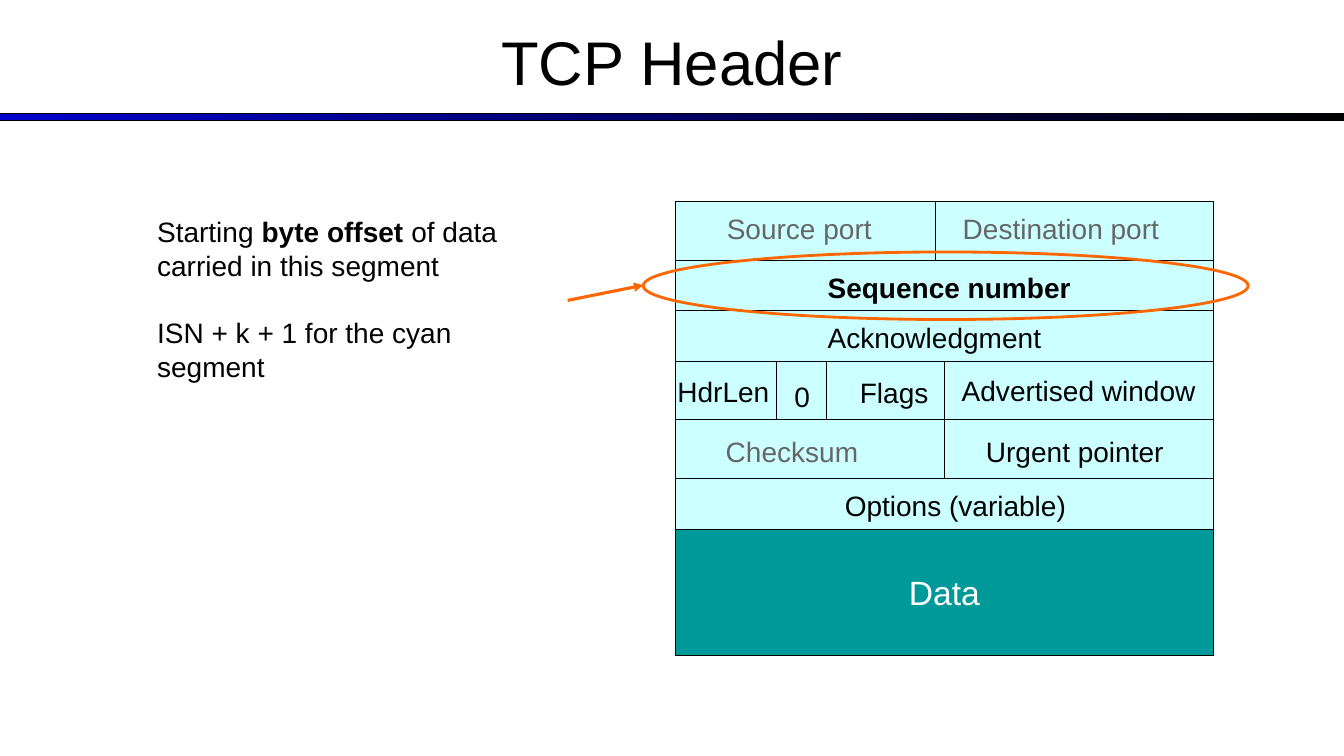
"""Build the TCP header slide."""
from dataclasses import dataclass

from lxml.etree import SubElement
from pptx import Presentation
from pptx.dml.color import RGBColor
from pptx.enum.shapes import MSO_CONNECTOR, MSO_SHAPE
from pptx.enum.text import MSO_ANCHOR, MSO_AUTO_SIZE, PP_ALIGN
from pptx.oxml.ns import qn
from pptx.shapes.autoshape import Shape
from pptx.shapes.connector import Connector
from pptx.slide import Slide
from pptx.text.text import _Paragraph
from pptx.util import Inches, Pt

FONT = "Arial"
BLACK, GRAY, WHITE = "000000", "666666", "FFFFFF"
CYAN, TEAL, ORANGE, BLUE = "CCFFFF", "009999", "FF6600", "0000CC"
HEADER_LEFT, HEADER_TOP, HEADER_WIDTH = 6.7, 2, 16 / 3
HALF = HEADER_WIDTH / 2
TALL, SHORT, DATA_HEIGHT = 7 / 12, 0.5, 1.25
LABEL_HEIGHT = 0.44


@dataclass(frozen=True)
class Row:
    """A header row, split into cells of the given widths."""
    height: float
    widths: tuple[float, ...] = (HEADER_WIDTH,)
    fill: str = CYAN


@dataclass(frozen=True)
class Label:
    """A field name placed over its cell."""
    text: str
    left: float
    top: float
    width: float
    color: str = BLACK
    bold: bool = False


ROWS = (
    Row(TALL, (2.58, HEADER_WIDTH - 2.58)),
    Row(SHORT),
    Row(SHORT),
    Row(TALL, (HALF, HALF)),
    Row(TALL, (HALF, HALF)),
    Row(SHORT),
    Row(DATA_HEIGHT, fill=TEAL),
)
LABELS = (
    Label("Source port", 7.11, 2.05, 1.65, GRAY),
    Label("Destination port", 9.45, 2.05, 2.17, GRAY),
    Label("Sequence number", 8.11, 2.63, 2.64, bold=True),
    Label("Acknowledgment", 8.11, 3.13, 2.34),
    Label("HdrLen", 6.62, 3.67, 1.17),
    Label("0", 7.78, 3.72, 0.36),
    Label("Flags", 8.43, 3.68, 0.89),
    Label("Advertised window", 9.44, 3.66, 2.54),
    Label("Checksum", 7.1, 4.26, 1.53, GRAY),
    Label("Urgent pointer", 9.68, 4.26, 1.98),
    Label("Options (variable)", 8.28, 4.8, 2.41),
)
NOTES = (
    (("Starting ", False), ("byte offset ", True),
     ("of data carried in this segment", False)),
    (("ISN + k + 1 for the cyan segment", False),),
)


def rgb(color: str) -> RGBColor:
    """Turn a hex string into a colour."""
    return RGBColor.from_string(color)


def add_span(para: _Paragraph, text: str, size: float = 20,
             color: str = BLACK, bold: bool = False) -> None:
    """Append one formatted run to a paragraph."""
    span = para.add_run()
    span.text = text
    span.font.name = FONT
    span.font.size = Pt(size)
    span.font.bold = bold
    span.font.color.rgb = rgb(color)


def add_box(page: Slide, kind: MSO_SHAPE, left: float, top: float, width: float,
            height: float, fill: str | None = None, line: str = BLACK,
            weight: float = 0.75) -> Shape:
    """Add an outlined shape, filled when a colour is given."""
    box = page.shapes.add_shape(kind, Inches(left), Inches(top),
                                Inches(width), Inches(height))
    box.shadow.inherit = False
    if fill is None:
        box.fill.background()
    else:
        box.fill.solid()
        box.fill.fore_color.rgb = rgb(fill)
    box.line.color.rgb = rgb(line)
    box.line.width = Pt(weight)
    return box


def add_line(page: Slide, start: tuple[float, float], end: tuple[float, float],
             color: str = BLACK, weight: float = 0.75, arrow: bool = False) -> Connector:
    """Add a straight line, with an arrowhead at its end on request."""
    line = page.shapes.add_connector(
        MSO_CONNECTOR.STRAIGHT, *(Inches(value) for value in (*start, *end)))
    line.line.color.rgb = rgb(color)
    line.line.width = Pt(weight)
    properties = line._element.spPr
    if arrow:
        SubElement(properties.find(qn("a:ln")), qn("a:tailEnd"), type="triangle")
    SubElement(properties, qn("a:effectLst"))
    return line


def add_title(page: Slide) -> None:
    """Draw the gradient bar and format the title."""
    bar = add_box(page, MSO_SHAPE.RECTANGLE, 0, 1.13, 13.33, 0.07, BLUE)
    bar.fill.gradient()
    bar.fill.gradient_angle = 0
    for stop, color in zip(bar.fill.gradient_stops, (BLUE, BLACK)):
        stop.color.rgb = rgb(color)
    for stop, position in zip(bar.fill.gradient_stops, (0, 1)):
        stop.position = position
    title = page.shapes.title
    title.left, title.top = Inches(0), Inches(0)
    title.width, title.height = Inches(13.33), Inches(1.21)
    title.text_frame.vertical_anchor = MSO_ANCHOR.MIDDLE
    para = title.text_frame.paragraphs[0]
    para.alignment = PP_ALIGN.CENTER
    add_span(para, "TCP Header", 44)


def add_header(page: Slide) -> None:
    """Draw the header cells, their dividers and their labels."""
    top = HEADER_TOP
    for row in ROWS:
        left = HEADER_LEFT
        for width in row.widths:
            cell = add_box(page, MSO_SHAPE.RECTANGLE, left, top, width,
                           row.height, row.fill)
            left += width
        top += row.height
    cell.text_frame.vertical_anchor = MSO_ANCHOR.MIDDLE
    para = cell.text_frame.paragraphs[0]
    para.alignment = PP_ALIGN.CENTER
    add_span(para, "Data", 24, WHITE)

    flags_top = HEADER_TOP + sum(row.height for row in ROWS[:3])
    for x in (7.7, 8.2):
        add_line(page, (x, flags_top), (x, flags_top + TALL))
    for label in LABELS:
        box = page.shapes.add_textbox(Inches(label.left), Inches(label.top),
                                      Inches(label.width), Inches(LABEL_HEIGHT))
        box.text_frame.word_wrap = False
        box.text_frame.auto_size = MSO_AUTO_SIZE.SHAPE_TO_FIT_TEXT
        para = box.text_frame.paragraphs[0]
        para.alignment = PP_ALIGN.LEFT
        add_span(para, label.text, color=label.color, bold=label.bold)


def add_notes(page: Slide) -> None:
    """Write the explanation and point it at the sequence number."""
    box = page.shapes.add_textbox(Inches(1.46), Inches(2.08), Inches(4.17), Inches(1.78))
    frame = box.text_frame
    frame.word_wrap = True
    for index, spans in enumerate(NOTES):
        para = frame.add_paragraph() if index else frame.paragraphs[0]
        para.space_before = Pt(24 if index else 0)
        for text, bold in spans:
            add_span(para, text, bold=bold)
    add_box(page, MSO_SHAPE.OVAL, 6.38, 2.5, 6, 0.67, line=ORANGE, weight=2)
    add_line(page, (5.63, 2.98), (6.38, 2.83), ORANGE, 2.25, arrow=True)


def main() -> None:
    """Build and save the deck."""
    deck = Presentation()
    deck.slide_width, deck.slide_height = Inches(13.33), Inches(7.5)
    page = deck.slides.add_slide(deck.slide_layouts[5])
    add_title(page)
    add_header(page)
    add_notes(page)
    deck.save("out.pptx")


if __name__ == "__main__":
    main()
